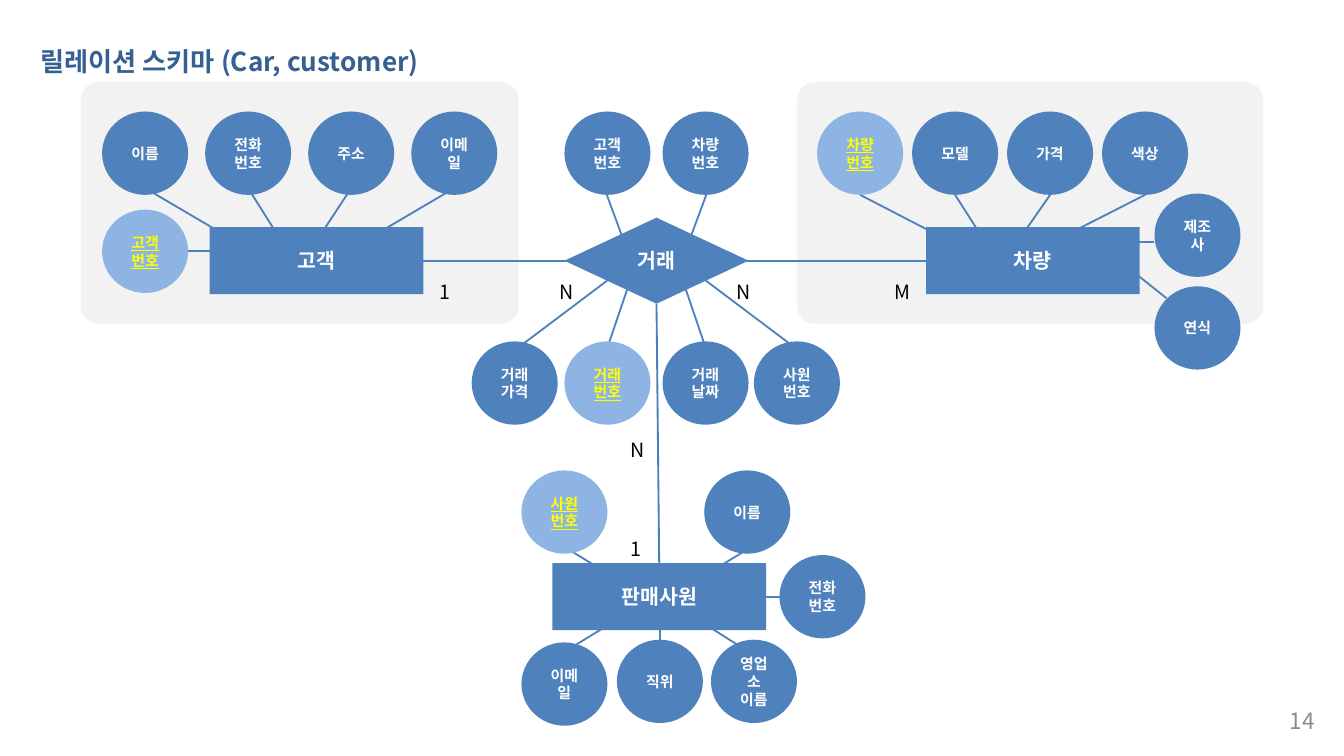
from lxml.etree import SubElement
from pptx import Presentation
from pptx.dml.color import RGBColor
from pptx.enum.shapes import MSO_CONNECTOR, MSO_SHAPE
from pptx.enum.text import MSO_ANCHOR, MSO_AUTO_SIZE, PP_ALIGN
from pptx.oxml.ns import qn
from pptx.util import Pt

PX = 9144  # 100 px to the inch
FONT = "Noto Sans CJK KR"
BLUE, LINK_BLUE, KEY_BLUE = "4F81BD", "4B7EBC", "8EB4E3"
WHITE, YELLOW, BLACK = "FFFFFF", "FFFF00", "000000"
NAVY, PANEL_GRAY, NUMBER_GRAY = "376092", "F2F2F2", "8C8C8C"
OVAL_W, OVAL_H = 64, 62
ENTITY_W, ENTITY_H = 159, 50


def px(*lengths):
    return [round(length * PX) for length in lengths]


def rgb(color):
    return RGBColor.from_string(color)


def write(frame, text, size, color, align, bold=False, underline=None):
    frame.word_wrap = True
    paragraph = frame.paragraphs[0]
    paragraph.text = text
    paragraph.alignment = align
    font = paragraph.font
    font.size, font.bold, font.underline = Pt(size), bold, underline
    font.color.rgb = rgb(color)
    font.name = FONT
    defaults = paragraph._p.pPr.find(qn("a:defRPr"))
    SubElement(defaults, qn("a:ea"), typeface=FONT)  # Korean glyphs
    return paragraph


def add_block(slide, kind, left, top, width, height, color):
    shape = slide.shapes.add_shape(kind, *px(left, top, width, height))
    shape.shadow.inherit = False
    shape.fill.solid()
    shape.fill.fore_color.rgb = rgb(color)
    shape.line.fill.background()
    return shape


def add_named(slide, kind, left, top, width, height, text):
    shape = add_block(slide, kind, left, top, width, height, BLUE)
    shape.text_frame.vertical_anchor = MSO_ANCHOR.MIDDLE
    write(shape.text_frame, text, 11, WHITE, PP_ALIGN.CENTER, bold=True)
    return shape


def add_entity(slide, left, top, text):
    return add_named(slide, MSO_SHAPE.RECTANGLE, left, top, ENTITY_W, ENTITY_H, text)


def add_attribute(slide, left, top, text, key=False):
    shape = add_block(slide, MSO_SHAPE.OVAL, left, top, OVAL_W, OVAL_H,
                      KEY_BLUE if key else BLUE)
    shape.text_frame.vertical_anchor = MSO_ANCHOR.MIDDLE
    write(shape.text_frame, text, 8, YELLOW if key else WHITE,
          PP_ALIGN.CENTER, bold=True, underline=key or None)


def add_line(slide, x1, y1, x2, y2, color=BLUE):
    line = slide.shapes.add_connector(MSO_CONNECTOR.STRAIGHT, *px(x1, y1, x2, y2))
    line.line.color.rgb = rgb(color)
    line.line.width = Pt(1)
    SubElement(line._element.spPr, qn("a:effectLst"))
    return line


def add_panel(slide, left, top, width, height):
    panel = add_block(slide, MSO_SHAPE.ROUNDED_RECTANGLE, left, top, width, height, PANEL_GRAY)
    panel.adjustments[0] = 0.076


def add_cardinality(slide, left, top, text):
    frame = slide.shapes.add_textbox(*px(left, top, 31, 30)).text_frame
    frame.vertical_anchor = MSO_ANCHOR.MIDDLE
    frame.margin_left, frame.margin_top, frame.margin_right, frame.margin_bottom = px(10, 0, 10, 5)
    align = PP_ALIGN.LEFT if text == "1" else PP_ALIGN.CENTER
    paragraph = write(frame, text, 10.5, BLACK, align)
    paragraph.line_spacing = 2.0
    properties = paragraph._p.pPr
    properties.set("marL", str(10 * PX))
    properties.set("indent", str(-10 * PX))


def draw_title(slide, left, top, width, height):
    title = slide.shapes.title
    title.left, title.top, title.width, title.height = px(left, top, width, height)
    frame = title.text_frame
    frame.auto_size = MSO_AUTO_SIZE.NONE
    frame.vertical_anchor = MSO_ANCHOR.TOP
    write(frame, "릴레이션 스키마 (Car, customer)", 14, NAVY, PP_ALIGN.LEFT, bold=True)


def draw_customer(slide, left, top):
    # Spokes run from each attribute in the row to the entity
    pitch = 76.67
    ends = [(116, 119), (146, 113), (179, 113), (210, 119)]
    for i, (x, y) in enumerate(ends):
        add_line(slide, left + 16 + i * pitch + 32, top + 79, left + x, top + y)
    add_line(slide, left + 75, top + 126, left + 99, top + 126, LINK_BLUE)
    for i, text in enumerate(["이름", "전화번호", "주소", "이메일"]):
        add_attribute(slide, left + 16 + i * pitch, top + 22, text)
    add_attribute(slide, left + 16, top + 95, "고객\n번호", key=True)
    add_entity(slide, left + 96, top + 108, "고객")
    add_cardinality(slide, left + 257, top + 135, "1")


def draw_car(slide, left, top):
    pitch = 70.67
    ends = [(103, 113), (140, 119), (164, 119), (202, 113)]
    for i, (x, y) in enumerate(ends):
        add_line(slide, left + 15 + i * pitch + 32, top + 84, left + x, top + y)
    add_line(slide, left + 266, top + 119, left + 248, top + 119)
    add_line(slide, left + 275, top + 161, left + 240, top + 133)
    for i, text in enumerate(["차량\n번호", "모델", "가격", "색상"]):
        add_attribute(slide, left + 15 + i * pitch, top + 22, text, key=i == 0)
    for y, text in [(83, "제조사"), (152, "연식")]:
        add_attribute(slide, left + 266, top + y, text)
    add_entity(slide, left + 96, top + 108, "차량")
    add_cardinality(slide, left + 63, top + 135, "M")


def draw_trade(slide, left, top):
    # Spokes mirror each other about the diamond's centre
    center = left + 137.5
    for side in (-1, 1):
        for x1, y1, x2, y2 in [(37, 62, 20, 108), (37, 177, 20, 127),
                               (106, 178, 29, 120)]:
            add_line(slide, center + side * x1, top + y1, center + side * x2, top + y2)
    for x, text in [(69, "고객번호"), (142, "차량번호")]:
        add_attribute(slide, left + x, top, text)
    for x, text in [(0, "거래가격"), (69, "거래번호"), (142, "거래날짜"), (210, "사원번호")]:
        add_attribute(slide, left + x, top + 171, text, key=text == "거래번호")
    for x, y in [(55, 113), (187, 113), (108, 230)]:
        add_cardinality(slide, left + x, top + y, "N")
    return add_named(slide, MSO_SHAPE.DIAMOND, left + 69, top + 79, 137, 64, "거래")


def draw_employee(slide, left, top):
    for x1, y1, x2, y2 in [(32, 57, 63, 76), (171, 57, 140, 76), (32, 135, 63, 116),
                           (103, 135, 103, 116), (169, 135, 139, 116)]:
        add_line(slide, left + x1, top + y1, left + x2, top + y2)
    phone_line = add_line(slide, left + 192, top + 94, left + 182, top + 94)
    for x, y, text in [(0, 0, "사원번호"), (136, 0, "이름"), (192, 63, "전화번호"),
                       (0, 128, "이메일"), (71, 126, "직위"), (141, 126, "영업소\n이름")]:
        add_attribute(slide, left + x, top + y, text, key=text == "사원번호")
    entity = add_entity(slide, left + 23, top + 69, "판매사원")
    phone_line.end_connect(entity, 3)
    add_cardinality(slide, left + 71, top + 37, "1")
    return entity


def draw_page_number(slide, left, top, width, height):
    frame = slide.shapes.add_textbox(*px(left, top, width, height)).text_frame
    frame.vertical_anchor = MSO_ANCHOR.MIDDLE
    write(frame, "14", 12, NUMBER_GRAY, PP_ALIGN.RIGHT)


def main():
    presentation = Presentation()
    presentation.slide_width = 1000 * PX
    presentation.slide_height = presentation.slide_width * 9 // 16
    slide = presentation.slides.add_slide(presentation.slide_layouts[5])
    draw_title(slide, 20, 29, 361, 34)

    # Panels and the links that cross between them
    add_panel(slide, 593, 61, 347, 180)
    add_panel(slide, 60, 61, 326, 180)
    add_line(slide, 429, 194, 211, 194)
    add_line(slide, 746, 194, 538, 194)

    # Entities and their relationship
    draw_customer(slide, 60, 61)
    draw_car(slide, 593, 61)
    trade = draw_trade(slide, 351, 83)
    employee = draw_employee(slide, 388, 350)
    sale_link = add_line(slide, 488, 226, 491, 419, LINK_BLUE)
    sale_link.begin_connect(trade, 2)
    sale_link.end_connect(employee, 0)

    draw_page_number(slide, 932, 521, 56, 30)
    presentation.save("out.pptx")


if __name__ == "__main__":
    main()
